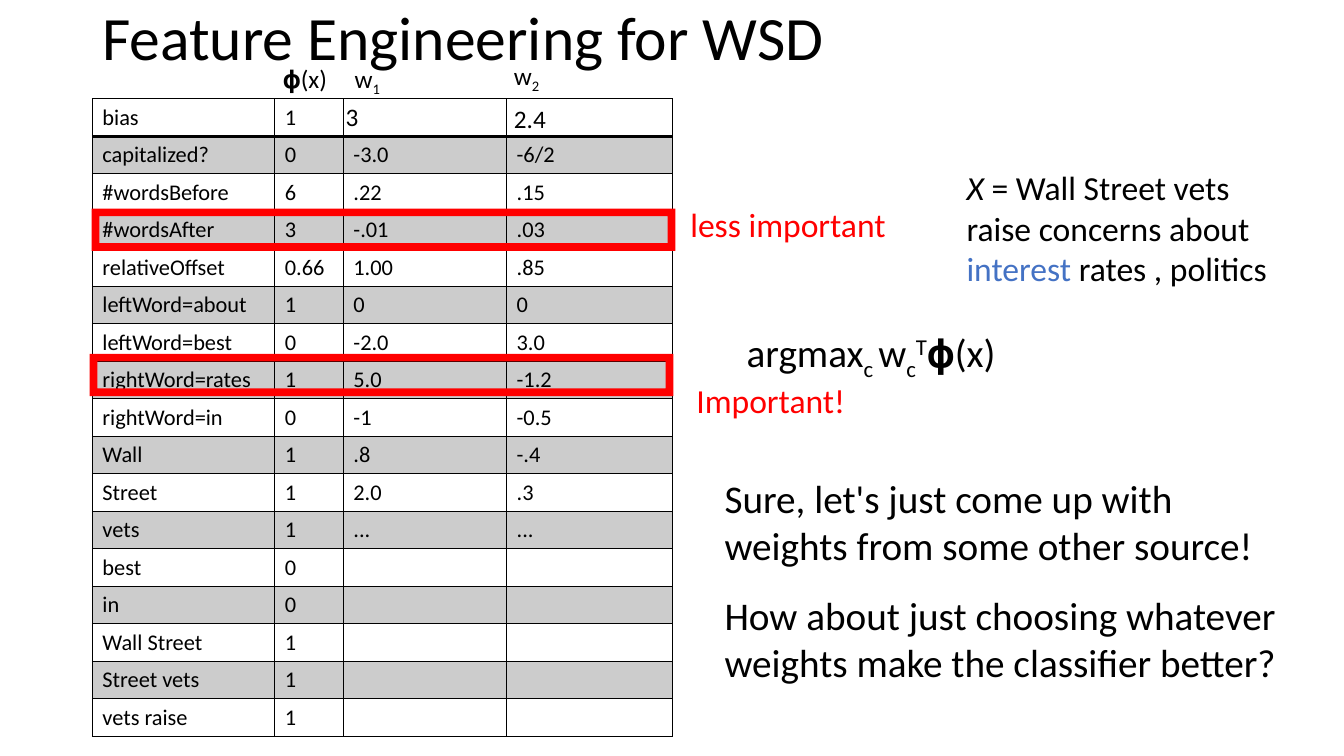
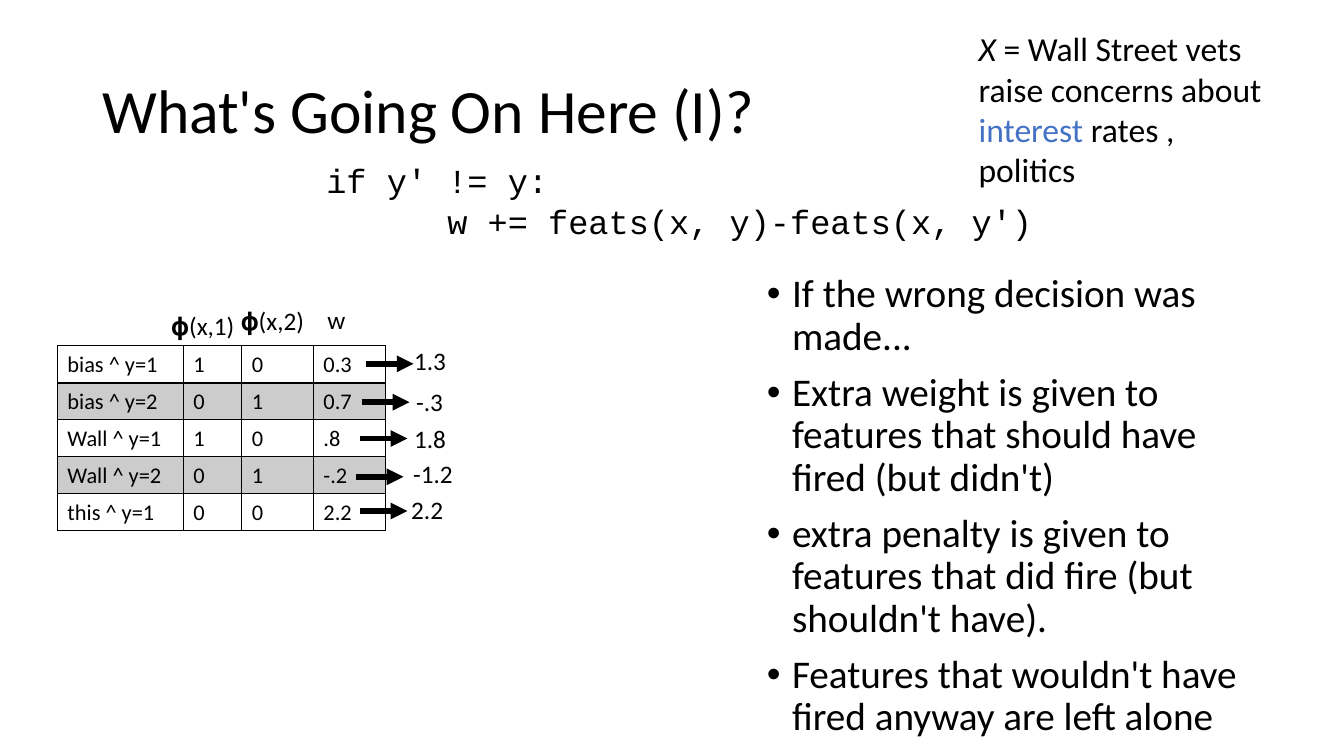
"""Build two slides on feature weights for word sense disambiguation."""
from lxml import etree
from pptx import Presentation
from pptx.dml.color import RGBColor
from pptx.enum import shapes, text
from pptx.oxml import ns
from pptx.util import Pt

COLORS = {"ink": "000000", "alert": "FF0000", "sense": "4472C4", "band": "CCCCCC"}
FONT, CODE_FONT = "Calibri", "Courier New"
SUB, SUPER = {"baseline": -25000}, {"baseline": 30000}

EXAMPLE = [("X", {"italic": True}), (" = Wall Street vets raise concerns about ", {}),
           ("interest ", {"color": "sense"}), ("rates , politics", {})]
ARGMAX = [("argmax", {}), ("c ", SUB), ("w", {}), ("c", SUB), ("T", SUPER), ("𝛟(x)", {})]

FEATURES = [
    ("bias", "1", "", ""),
    ("capitalized?", "0", "-3.0", "-6/2"),
    ("#wordsBefore", "6", ".22", ".15"),
    ("#wordsAfter", "3", "-.01", ".03"),
    ("relativeOffset", "0.66", "1.00", ".85"),
    ("leftWord=about", "1", "0", "0"),
    ("leftWord=best", "0", "-2.0", "3.0"),
    ("rightWord=rates", "1", "5.0", "-1.2"),
    ("rightWord=in", "0", "-1", "-0.5"),
    ("Wall", "1", ".8", "-.4"),
    ("Street", "1", "2.0", ".3"),
    ("vets", "1", "...", "..."),
    ("best", "0", "", ""),
    ("in", "0", "", ""),
    ("Wall Street", "1", "", ""),
    ("Street vets", "1", "", ""),
    ("vets raise", "1", "", ""),
]
FEATURE_LABELS = [
    ((195, 41.8, 47.5, 28.8), ["𝛟(x)"], False),
    ((246.2, 41.8, 36.7, 28.8), [[("w", {}), ("1", SUB)]], True),
    ((360, 39.6, 36.7, 28.8), [[("w", {}), ("2", SUB)]], True),
    ((239.8, 69.1, 23.8, 28.8), ["3"], False),
    ((360, 70.6, 37.4, 28.8), ["2.4"], False),
]
QUESTIONS = [
    ((510.5, 335.5, 396, 74.9),
     ["Sure, let's just come up with", "weights from some other source!"]),
    ((510.5, 419, 419, 74.9),
     ["How about just choosing whatever", "weights make the classifier better?"]),
]
HIGHLIGHTS = [
    ((64.1, 252.7), (490.3, 267.8), "Important!"),
    ((65.5, 149), (486, 141.8), "less important"),
]

UPDATES = [
    ("bias ^ y=1", "1", "0", "0.3"),
    ("bias ^ y=2", "0", "1", "0.7"),
    ("Wall ^ y=1", "1", "0", ".8"),
    ("Wall ^ y=2", "0", "1", "-.2"),
    ("this ^ y=1", "0", "0", "2.2"),
]
UPDATE_LABELS = [
    ((115.2, 218.2, 61.2, 28.8), ["𝛟(x,1)"], False),
    ((164.9, 214.6, 61.2, 28.8), ["𝛟(x,2)"], False),
    ((226.8, 213.8, 36.7, 28.8), ["w"], True),
]
NEW_WEIGHTS = [
    ("1.3", (288.7, 243.4, 37.4), (261.4, 259.9)),
    ("-.3", (290.2, 272.2, 33.8), (258.5, 287.3)),
    ("1.8", (288.7, 298.8, 37.4), (257, 313.2)),
    ("-1.2", (288, 324, 43.2), (254.2, 340.6)),
    ("2.2", (286.6, 349.9, 37.4), (257, 365)),
]
CODE = ["if y' != y:", "      w += feats(x, y)-feats(x, y')"]
POINTS = [
    "If the wrong decision was made...",
    "Extra weight is given to features that should have fired (but didn't)",
    "extra penalty is given to features that did fire (but shouldn't have).",
    "Features that wouldn't have fired anyway are left alone",
]


def rgb(name):
    return RGBColor.from_string(COLORS[name])


def add_xml(parent, tag, **attrs):
    return etree.SubElement(parent, ns.qn(tag), {k: str(v) for k, v in attrs.items()})


def set_font(font, size, color="ink", name=FONT):
    font.size, font.name = Pt(size), name
    font.color.rgb = rgb(color)


def add_text(s, box, paragraphs, size, color="ink", name=FONT, wrap=True,
             spacing=None, bullets=False, middle=False):
    tf = s.shapes.add_textbox(*map(Pt, box)).text_frame
    tf.word_wrap = wrap
    if middle:
        tf.vertical_anchor = text.MSO_ANCHOR.MIDDLE
    for i, content in enumerate(paragraphs):
        p = tf.add_paragraph() if i else tf.paragraphs[0]
        if spacing:
            p.line_spacing = spacing
        if bullets:
            if i:
                p.space_before = Pt(10)
            pPr = p._p.get_or_add_pPr()
            pPr.set("marL", str(Pt(18)))
            pPr.set("indent", str(Pt(-18)))
            add_xml(pPr, "a:buFont", typeface="Arial")
            add_xml(pPr, "a:buChar", char="•")
        if isinstance(content, str):
            p.text = content
            set_font(p.font, size, color, name)
            continue
        for words, style in content:
            r = p.add_run()
            r.text = words
            set_font(r.font, size, style.get("color", color), name)
            if "italic" in style:
                r.font.italic = True
            if "baseline" in style:
                r._r.get_or_add_rPr().set("baseline", str(style["baseline"]))


def add_title(s, words, top):
    add_text(s, (66, top, 828, 104.4), [words], 44, spacing=0.9, middle=True)


def add_labels(s, labels):
    for box, paragraphs, wrap in labels:
        add_text(s, box, paragraphs, 18, wrap=wrap)


def add_grid(s, left, top, widths, row_height, rows):
    frame = s.shapes.add_table(len(rows), len(widths), Pt(left), Pt(top),
                               Pt(sum(widths)), Pt(row_height * len(rows)))
    table = frame.table
    table.first_row = table.horz_banding = False
    for column, width in zip(table.columns, widths):
        column.width = Pt(width)
    for i, values in enumerate(rows):
        table.rows[i].height = Pt(row_height)
        for j, value in enumerate(values):
            cell = table.cell(i, j)
            p = cell.text_frame.paragraphs[0]
            if value:
                p.text = value
                set_font(p.font, 16)
            else:
                add_xml(p._p, "a:endParaRPr", sz=1600)
            tcPr = cell._tc.get_or_add_tcPr()
            for side in "LRTB":
                thick = (side == "B" and i == 0) or (side == "T" and i == 1)
                line = add_xml(tcPr, "a:ln" + side, w=Pt(2 if thick else 1))
                add_xml(add_xml(line, "a:solidFill"), "a:srgbClr", val=COLORS["ink"])
            if i % 2:
                cell.fill.solid()
                cell.fill.fore_color.rgb = rgb("band")
            else:
                cell.fill.background()


def add_highlight(s, left, top):
    frame = s.shapes.add_shape(shapes.MSO_SHAPE.FRAME, Pt(left), Pt(top), Pt(416.9), Pt(30.2))
    frame.adjustments[0] = 0.18
    frame.shadow.inherit = False
    frame.fill.solid()
    frame.fill.fore_color.rgb = rgb("alert")
    frame.line.fill.background()


def add_arrow(s, x, y, length=34):
    arrow = s.shapes.add_connector(shapes.MSO_CONNECTOR.STRAIGHT,
                                   Pt(x), Pt(y), Pt(x + length), Pt(y))
    arrow.line.width = Pt(4)
    arrow.line.color.rgb = rgb("ink")
    add_xml(arrow.line._get_or_add_ln(), "a:tailEnd", type="triangle")
    add_xml(arrow._element.spPr, "a:effectLst")


def build_features(s):
    add_title(s, "Feature Engineering for WSD", -23.6)
    add_grid(s, 66, 70.6, (130.3, 49, 116.6, 118.8), 26.8, FEATURES)
    add_labels(s, FEATURE_LABELS)
    add_text(s, (683.3, 115.9, 246.2, 94.3), [EXAMPLE], 24)
    for box, lines in QUESTIONS:
        add_text(s, box, lines, 28, wrap=False)
    for corner, note_corner, note in HIGHLIGHTS:
        add_highlight(s, *corner)
        add_text(s, (*note_corner, 210.2, 36), [note], 24, "alert")
    add_text(s, (526.3, 231.1, 348.5, 63.4), [ARGMAX], 28)


def build_update(s):
    add_title(s, "What's Going On Here (I)?", 28.8)
    add_text(s, (540.7, 192.2, 353.5, 350.6), POINTS, 28, spacing=0.9, bullets=True)
    add_text(s, (226, 110.9, 573.8, 65.5), CODE, 24, name=CODE_FONT)
    add_grid(s, 41, 247, (90, 41.8, 51.1, 51.8), 26.4, UPDATES)
    add_labels(s, UPDATE_LABELS)
    add_text(s, (691.9, 16.6, 216.7, 123.8), [EXAMPLE], 24)
    for weight, box, start in NEW_WEIGHTS:
        add_text(s, (*box, 28.8), [weight], 18, wrap=False)
        add_arrow(s, *start)


def main():
    prs = Presentation()
    prs.slide_width, prs.slide_height = Pt(960), Pt(540)
    for build in (build_features, build_update):
        build(prs.slides.add_slide(prs.slide_layouts[6]))
    prs.save("out.pptx")


if __name__ == "__main__":
    main()
